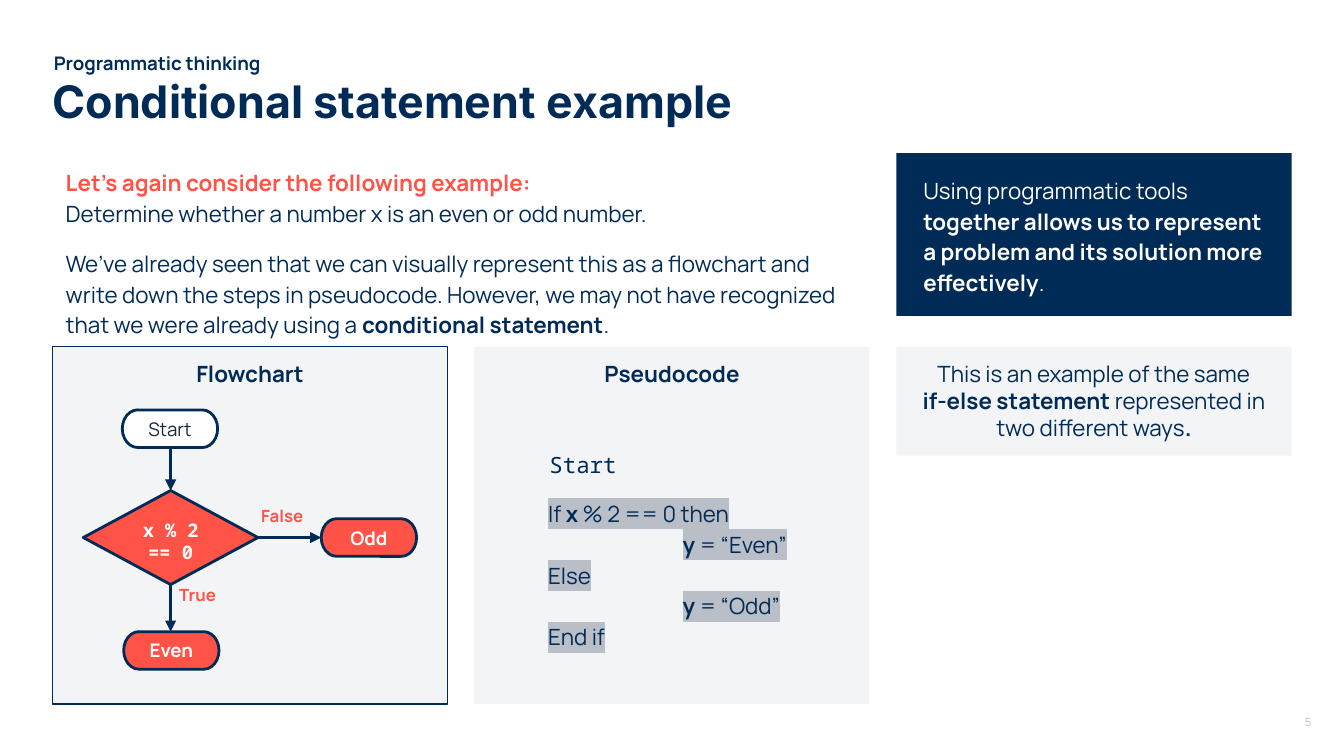
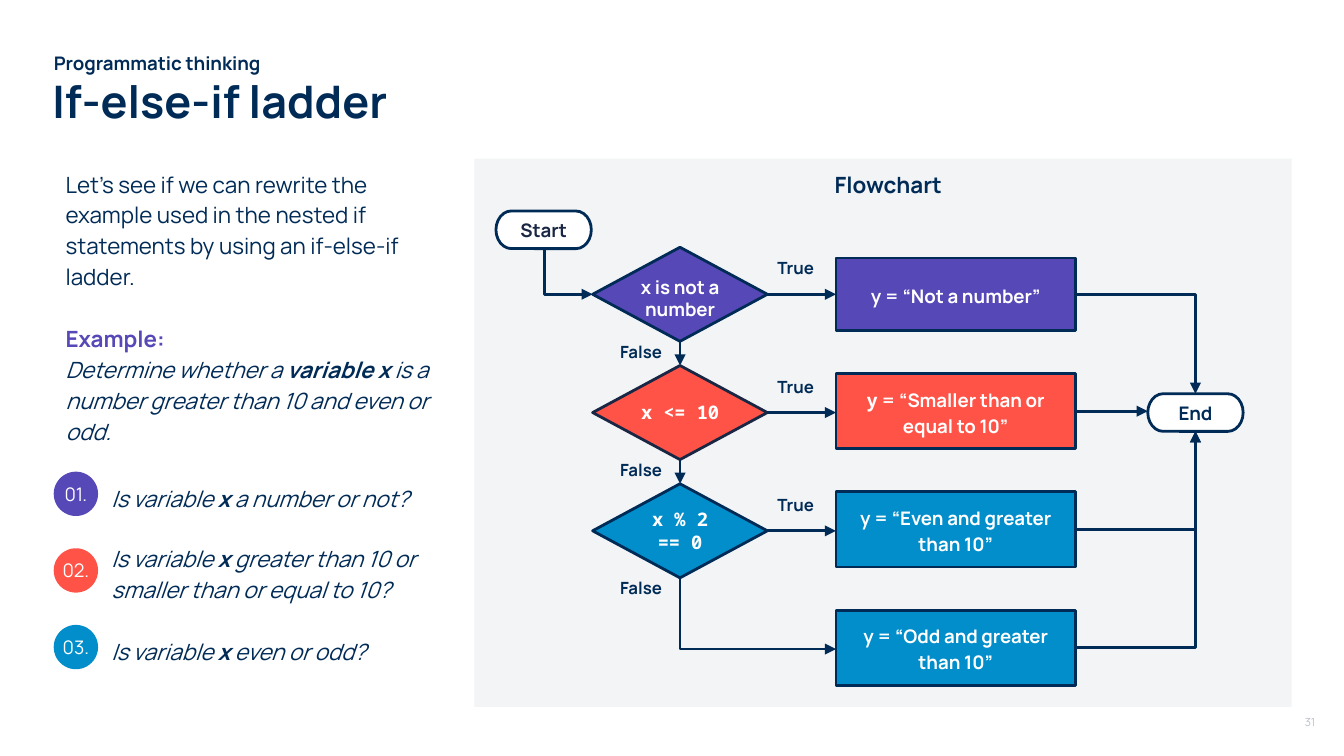
from lxml import etree
from pptx import Presentation
from pptx.dml.color import RGBColor
from pptx.enum.shapes import MSO_CONNECTOR, MSO_SHAPE
from pptx.enum.text import MSO_ANCHOR, MSO_AUTO_SIZE, PP_ALIGN
from pptx.oxml.ns import qn
from pptx.util import Inches, Pt

RECT, OVAL = MSO_SHAPE.RECTANGLE, MSO_SHAPE.OVAL
PILL, DIAMOND = MSO_SHAPE.FLOWCHART_TERMINATOR, MSO_SHAPE.FLOWCHART_DECISION
LEFT, CENTER = PP_ALIGN.LEFT, PP_ALIGN.CENTER
TOP, MIDDLE = MSO_ANCHOR.TOP, MSO_ANCHOR.MIDDLE

NAVY, INK, WHITE, PALE, GREY = "002B56", "1A2744", "FFFFFF", "F3F4F6", "BABEC7"
CORAL, PURPLE, BLUE = "FF5347", "5648B7", "028ECA"
SANS, MONO, INTER = "Manrope", "Noto Sans Mono", "Inter"
PILL_W, PILL_H = 0.71, 0.28
DIA_W, DIA_H = 1.3, 0.7

TOPIC = "Programmatic thinking"

# Paragraphs are a text or (text, changes); ** switches bold on and off.
INTRO = [
    ("**Let’s again consider the following example:\n**"
     "Determine whether a number x is an even or odd number.",
     {"lead_hue": CORAL}),
    ("We’ve already seen that we can visually represent this as a flowchart and "
     "write down the steps in pseudocode. However, we may not have recognized "
     "that we were already using a **conditional statement**.", {"before": 10}),
]
TOOLS = ("Using programmatic tools **together allows us to represent a problem "
         "and its solution more effectively**.")
SAME = ("This is an example of the same\n**if-else statement** represented in "
        "two different ways**.**")
CODE = ("If **x** % 2 == 0 then\n\t**y** = “Even”\nElse\n"
        "\t**y** = “Odd”\nEnd if")
PARITY = ["x % 2", "== 0"]

LADDER = [
    "Let’s see if we can rewrite the example used in the nested if statements "
    "by using an if-else-if ladder.",
    ("Example:", {"hue": PURPLE, "bold": True, "before": 16.5}),
    ("Determine whether a **variable x** is a number greater than 10 and even "
     "or odd.", {"italic": True}),
]
# number, colour, circle top, text top, question
STEPS = [
    ("01.", PURPLE, 3.51, 3.48, "Is variable **x** a number or not?"),
    ("02.", CORAL, 4.08, 3.93,
     "Is variable **x** greater than 10 or smaller than or equal to 10?"),
    ("03.", BLUE, 4.65, 4.62, "Is variable **x** even or odd?"),
]
# test, font, text offset, colour, outline
TESTS = [
    ("x is not a number", SANS, 0.11, PURPLE, NAVY),
    ("x <= 10", MONO, 0.16, CORAL, INK),
    (PARITY, MONO, 0.08, BLUE, NAVY),
]
# result, colour, top, height
RESULTS = [
    ("y = “Not a number”", PURPLE, 1.92, 0.54),
    ([("**y** = “Smaller than or equal to 10”", {"lead_font": MONO})],
     CORAL, 2.78, 0.56),
    ("y = “Even and greater than 10”", BLUE, 3.66, 0.56),
    ("y = “Odd and greater than 10”", BLUE, 4.54, 0.56),
]


def rgb(code):
    return RGBColor.from_string(code)


def fill_para(para, text, size, hue, font=SANS, bold=False, italic=False,
              align=LEFT, ls=None, before=0, after=0, mark=None, tab=None,
              lead_hue=None, lead_font=None):
    """Write one paragraph; lead_hue and lead_font style its first ** part."""
    if tab:
        tabs = etree.SubElement(para._p.get_or_add_pPr(), qn("a:tabLst"))
        etree.SubElement(tabs, qn("a:tab"), pos=str(Inches(tab)), algn="l")
    para.alignment = align
    if ls:
        para.line_spacing = ls
    para.space_before, para.space_after = Pt(before), Pt(after)
    face = para.font
    face.size, face.name, face.bold, face.italic = Pt(size), font, bold, italic
    face.color.rgb = rgb(hue)
    for i, part in enumerate(text.split("**")):
        for j, line in enumerate(part.split("\n")):
            if j:
                para.add_line_break()
            if not line:
                continue
            run = para.add_run()
            run.text = line
            if i % 2:
                run.font.bold = True
            if i == 1 and lead_hue:
                run.font.color.rgb = rgb(lead_hue)
            if i == 1 and lead_font:
                run.font.name = lead_font
            if mark:
                tint = etree.SubElement(run._r.get_or_add_rPr(), qn("a:highlight"))
                etree.SubElement(tint, qn("a:srgbClr"), val=mark)


def write(shape, paras, size=12, hue=NAVY, anchor=TOP, ins=(0.1,) * 4, **style):
    """Fill a shape with text; ins is left, top, right, bottom."""
    frame = shape.text_frame
    frame.word_wrap, frame.auto_size = True, MSO_AUTO_SIZE.NONE
    frame.vertical_anchor = anchor
    (frame.margin_left, frame.margin_top,
     frame.margin_right, frame.margin_bottom) = map(Inches, ins)
    for i, item in enumerate([paras] if isinstance(paras, str) else paras):
        text, more = (item, {}) if isinstance(item, str) else item
        para = frame.add_paragraph() if i else frame.paragraphs[0]
        fill_para(para, text, **{"size": size, "hue": hue, **style, **more})


def label(slide, at, paras, **style):
    write(slide.shapes.add_textbox(*map(Inches, at)), paras, **style)


def block(slide, kind, at, fill, edge=None, width=1.5):
    shape = slide.shapes.add_shape(kind, *map(Inches, at))
    shape.shadow.inherit = False
    if fill:
        shape.fill.solid()
        shape.fill.fore_color.rgb = rgb(fill)
    else:
        shape.fill.background()
    if edge:
        shape.line.color.rgb, shape.line.width = rgb(edge), Pt(width)
    else:
        shape.line.fill.background()
    return shape


def pill(slide, left, top, text, fill, hue, bold=True):
    shape = block(slide, PILL, (left, top, PILL_W, PILL_H), fill, NAVY)
    write(shape, text, size=10, hue=hue, bold=bold, anchor=MIDDLE, align=CENTER)


def diamond(slide, left, top, text, font, drop, fill, edge=NAVY):
    block(slide, DIAMOND, (left, top, DIA_W, DIA_H), fill, edge)
    label(slide, (left + 0.06, top + drop, 1.18, 0.54), text, size=10,
          hue=WHITE, font=font, bold=True, align=CENTER)


def arrow(slide, x1, y1, x2, y2, bend=None):
    """Draw an arrow; bend names the first leg of a corner, "across" or "down"."""
    line = slide.shapes.add_connector(
        MSO_CONNECTOR.ELBOW if bend else MSO_CONNECTOR.STRAIGHT,
        *map(Inches, (x1, y1, x2, y2)))
    line.line.color.rgb, line.line.width = rgb(NAVY), Pt(1.5)
    props = line._element.spPr
    etree.SubElement(props.find(qn("a:ln")), qn("a:tailEnd"), type="triangle")
    etree.SubElement(props, qn("a:effectLst"))
    if bend:
        props.find(qn("a:prstGeom")).set("prst", "bentConnector2")
    if bend == "down":
        wide, high = x2 - x1, y2 - y1
        line.left = Inches((x1 + x2 - high) / 2)
        line.top = Inches((y1 + y2 - wide) / 2)
        line.width, line.height = Inches(high), Inches(wide)
        frame = props.find(qn("a:xfrm"))
        frame.set("rot", "16200000")
        frame.set("flipH", "1")


def tag(slide, left, top, text, hue=NAVY):
    label(slide, (left, top, 0.58, 0.35), text, size=9, hue=hue, bold=True,
          align=CENTER, ins=(0.1, 0.08, 0.1, 0.1))


def head(slide, left, top, width, text):
    label(slide, (left, top, width, 0.4), text, bold=True, align=CENTER)


def start(deck, title, font, number):
    """Add a slide with its title, topic line and page number."""
    slide = deck.slides.add_slide(deck.slide_layouts[5])
    name = slide.shapes.title
    name.left, name.top, name.width, name.height = map(
        Inches, (0.39, 0.55, 9.21, 0.39))
    write(name, title, size=24, font=font, bold=True, ins=(0,) * 4)
    label(slide, (0.4, 0.39, 9.21, 0.16), TOPIC, size=10, bold=True,
          anchor=MIDDLE, ins=(0,) * 4)
    label(slide, (9.61, 5.22, 0.39, 0.28), number, size=6, hue=GREY)
    return slide


def example(deck):
    slide = start(deck, "Conditional statement example", INTER, "5")
    label(slide, (0.39, 1.13, 6.08, 1.47), INTRO, ls=1.15)
    write(block(slide, RECT, (6.67, 1.14, 2.94, 1.21), NAVY), TOOLS, hue=WHITE,
          anchor=MIDDLE, ins=(0.2, 0.1, 0.1, 0.1), ls=1.15, after=12)
    write(block(slide, RECT, (6.67, 2.58, 2.94, 0.81), PALE), SAME, align=CENTER)

    block(slide, RECT, (0.39, 2.58, 2.94, 2.66), PALE, NAVY, 0.75)
    head(slide, 0.42, 2.58, 2.88, "Flowchart")
    left, top = 0.62, 3.65
    mid, low = left + DIA_W / 2, top + DIA_H
    pill(slide, 0.91, 3.05, "Start", WHITE, INK, bold=False)
    pill(slide, 2.39, 3.86, "Odd", CORAL, WHITE)
    pill(slide, 0.92, 4.7, "Even", CORAL, WHITE)
    diamond(slide, left, top, PARITY, MONO, 0.11, CORAL)
    arrow(slide, mid, 3.34, mid, top)
    arrow(slide, left + DIA_W, 4, 2.39, 4)
    arrow(slide, mid, low, mid, 4.7)
    tag(slide, 1.81, 3.68, "False", CORAL)
    tag(slide, 1.18, 4.27, "True", CORAL)

    block(slide, RECT, (3.53, 2.58, 2.94, 2.66), PALE)
    head(slide, 3.53, 2.58, 2.94, "Pseudocode")
    label(slide, (3.99, 3.23, 2.04, 0.8), "Start", font=MONO, ls=1.15)
    write(block(slide, RECT, (3.98, 3.23, 2.05, 1.73), None, PALE, 0.75), CODE,
          ins=(0.1, 0.46, 0.1, 0.1), ls=1.15, mark=GREY, tab=1)


def ladder(deck):
    slide = start(deck, "If-else-if ladder", SANS, "31")
    label(slide, (0.39, 1.14, 2.94, 2.26), LADDER, ls=1.15)
    for number, hue, top, line, text in STEPS:
        write(block(slide, OVAL, (0.4, top, 0.33, 0.33), hue), number, size=10,
              hue=WHITE, anchor=MIDDLE, align=CENTER, ins=(0,) * 4)
        label(slide, (0.73, line, 2.59, 0.64), text, italic=True, ls=1.15)

    block(slide, RECT, (3.53, 1.18, 6.08, 4.08), PALE)
    head(slide, 5.17, 1.17, 2.88, "Flowchart")
    left, first, step = 4.41, 1.84, 0.88
    mid, right = left + DIA_W / 2, left + DIA_W
    box, wide = 6.22, 1.78
    end, stop = 8.54, 2.93
    hub = end + PILL_W / 2
    pill(slide, 3.69, 1.57, "Start", WHITE, INK)
    pill(slide, end, stop, "End", WHITE, NAVY)
    arrow(slide, 4.05, 1.85, left, first + DIA_H / 2, "down")

    for i, (text, font, drop, fill, edge) in enumerate(TESTS):
        top = first + i * step
        low, row = top + DIA_H, top + DIA_H / 2
        diamond(slide, left, top, text, font, drop, fill, edge)
        arrow(slide, right, row, box, row)
        tag(slide, 5.63, top, "True")
        tag(slide, 4.48, low - 0.08, "False")
        if i < len(TESTS) - 1:
            arrow(slide, mid, low, mid, top + step)
        else:
            arrow(slide, mid, low, box, row + step, "down")

    for i, (text, fill, top, high) in enumerate(RESULTS):
        write(block(slide, RECT, (box, top, wide, high), fill, NAVY), text,
              size=10, hue=WHITE, bold=True, anchor=MIDDLE, align=CENTER, ls=1.15)
        row = top + high / 2
        if i == 1:
            arrow(slide, box + wide, row, end, row)
        else:
            goal = stop if i == 0 else stop + PILL_H
            arrow(slide, box + wide, row, hub, goal, "across")


def main():
    deck = Presentation()
    deck.slide_width = Inches(10)
    deck.slide_height = deck.slide_width * 9 // 16
    example(deck)
    ladder(deck)
    deck.save("out.pptx")


if __name__ == "__main__":
    main()
